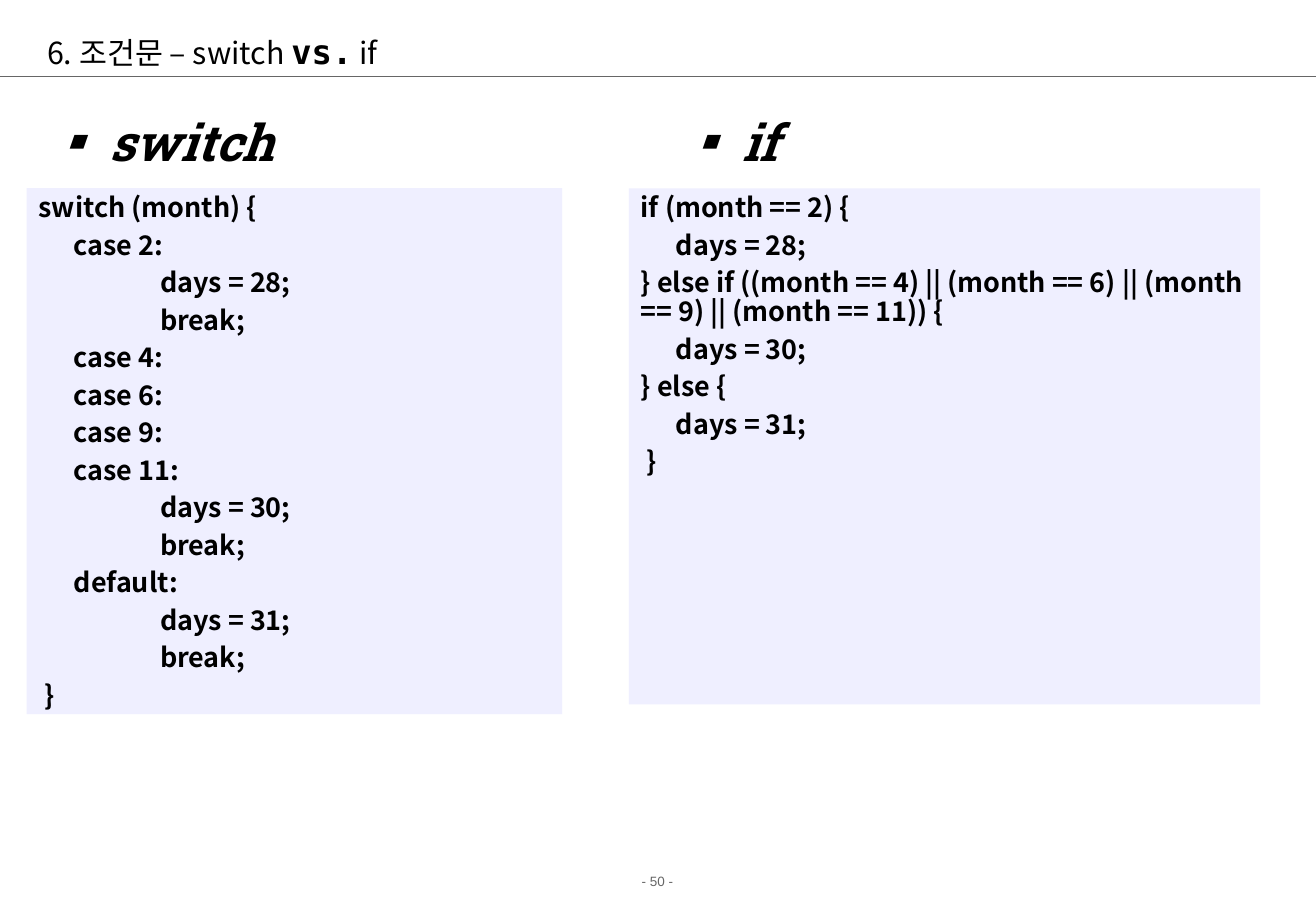
"""Build a slide comparing switch and if statements."""
from lxml.etree import SubElement
from pptx import Presentation
from pptx.dml.color import RGBColor
from pptx.enum.shapes import MSO_CONNECTOR as CONN, MSO_SHAPE as SHAPE
from pptx.enum.text import MSO_ANCHOR as ANCHOR, PP_ALIGN as ALIGN
from pptx.oxml.ns import qn
from pptx.util import Inches, Pt

COLORS = {"text": "000000", "grey": "666666", "panel": "EFEFFF"}
SANS, MONO, SLAB = "Noto Sans CJK KR", "DejaVu Sans Mono", "Roboto Slab"
TAB_STOPS = (0.29, 0.44, 1, 2, 3, 4, 5)

SWITCH_CODE = """switch (month) {
\tcase 2:
\t\t\tdays = 28;
\t\t\tbreak;
\tcase 4:
\tcase 6:
\tcase 9:
\tcase 11:
\t\t\tdays = 30;
\t\t\tbreak;
\tdefault:
\t\t\tdays = 31;
\t\t\tbreak;
 }"""

IF_CODE = """if (month == 2) {
\tdays = 28;
} else if ((month == 4) || (month == 6) || (month == 9) || (month == 11)) {
\tdays = 30;
} else {
\tdays = 31;
 }"""


def rgb(name):
    return RGBColor.from_string(COLORS[name])


def add_run(p, text, size, font=SANS, bold=False, italic=False, color="text"):
    r = p.add_run()
    r.text = text
    r.font.size = Pt(size)
    r.font.name = font
    r.font.bold = bold
    r.font.italic = italic
    r.font.color.rgb = rgb(color)
    SubElement(r.font._element, qn("a:ea")).set("typeface", font)


def add_text(s, box, align=ALIGN.LEFT, wrap=True, inset=None):
    sp = s.shapes.add_textbox(*map(Inches, box))
    tf = sp.text_frame
    tf.word_wrap = wrap
    if inset is not None:
        tf.margin_left = tf.margin_right = Inches(inset)
        tf.margin_top = tf.margin_bottom = Inches(inset)
    p = tf.paragraphs[0]
    p.alignment = align
    return tf, p


def add_rule(s, y, width):
    line = s.shapes.add_connector(CONN.STRAIGHT, 0, Inches(y), Inches(width), Inches(y))
    line.line.color.rgb = rgb("grey")
    line.line.width = Pt(0.75)
    SubElement(line._element.spPr, qn("a:effectLst"))


def add_title(s):
    tf, p = add_text(s, (0.29, 0.21, 10.17, 0.42))
    tf.vertical_anchor = ANCHOR.MIDDLE
    add_run(p, "6. 조건문 – switch ", 18)
    add_run(p, "vs.", 20, MONO, bold=True)
    add_run(p, " if", 18)


def add_heading(s, word, left, width):
    _, p = add_text(s, (left, 0.91, width, 0.5), ALIGN.CENTER, wrap=False, inset=0)
    add_run(p, "▪ ", 30, italic=True)
    add_run(p, word, 30, SLAB, bold=True, italic=True)


def add_code(s, code, left, width, height):
    sp = s.shapes.add_shape(SHAPE.RECTANGLE, *map(Inches, (left, 1.55, width, height)))
    sp.shadow.inherit = False
    sp.fill.solid()
    sp.fill.fore_color.rgb = rgb("panel")
    sp.line.fill.background()
    tf = sp.text_frame
    tf.word_wrap = True
    tf.vertical_anchor = ANCHOR.TOP
    for i, text in enumerate(code.split("\n")):
        p = tf.add_paragraph() if i else tf.paragraphs[0]
        p.alignment = ALIGN.LEFT
        p.line_spacing = 0.9
        p.space_before = Pt(5 if i else 0)
        tabs = SubElement(p._p.get_or_add_pPr(), qn("a:tabLst"))
        for stop in TAB_STOPS:
            tab = SubElement(tabs, qn("a:tab"))
            tab.set("pos", str(Inches(stop)))
            tab.set("algn", "l")
        add_run(p, text, 16, bold=True)


def add_page_number(s):
    _, p = add_text(s, (0, 7.14, 10.83, 0.24), ALIGN.CENTER)
    add_run(p, "- 50 -", 8, "Arial", color="grey")


def main():
    prs = Presentation()
    prs.slide_width, prs.slide_height = Inches(10.84), Inches(7.5)
    s = prs.slides.add_slide(prs.slide_layouts[6])
    add_page_number(s)
    add_rule(s, 0.63, 10.84)
    add_title(s)
    add_code(s, SWITCH_CODE, 0.22, 4.41, 4.33)
    add_code(s, IF_CODE, 5.18, 5.2, 4.25)
    add_heading(s, "switch", 0.38, 1.89)
    add_heading(s, "if", 5.26, 1.49)
    prs.save("out.pptx")


if __name__ == "__main__":
    main()
